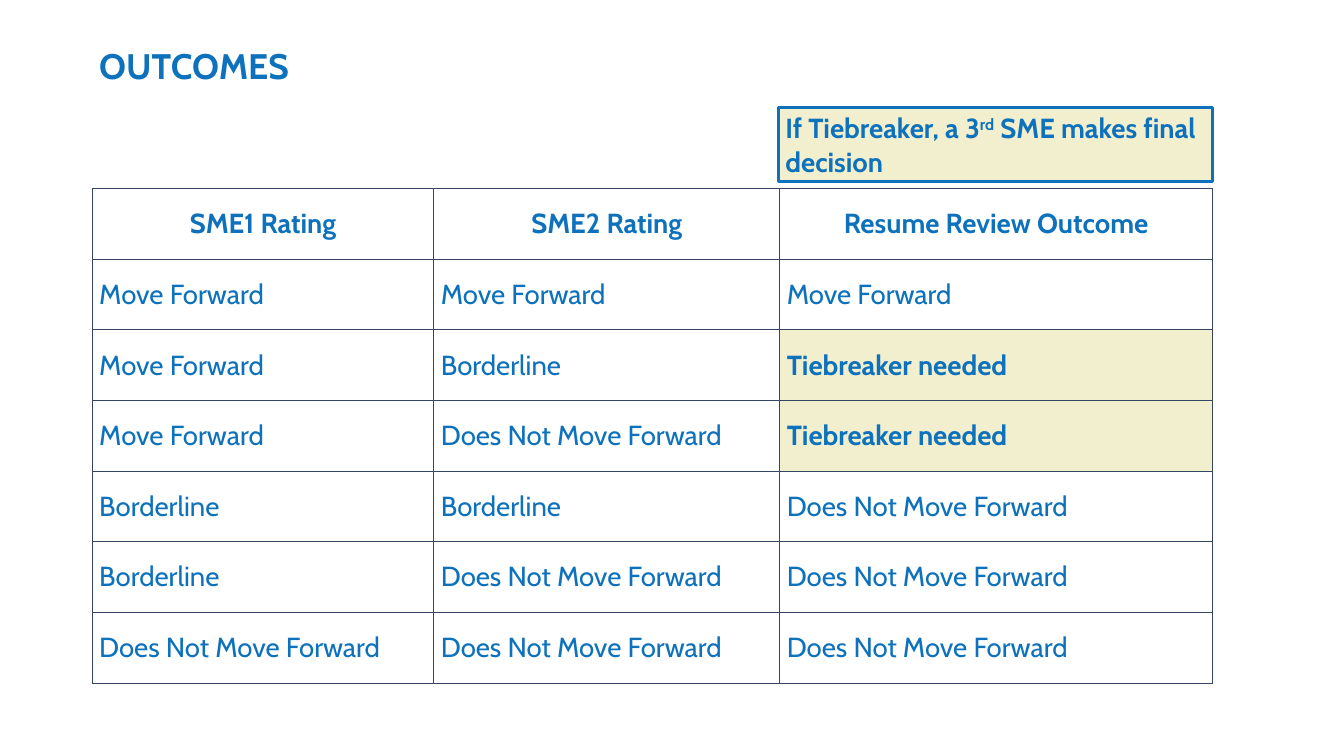
from lxml import etree
from pptx import Presentation
from pptx import util as u
from pptx.dml.color import RGBColor
from pptx.enum import shapes, text
from pptx.oxml import parse_xml
from pptx.oxml.ns import nsdecls

COLOURS = {"blue": "0D71BC", "cream": "F2EFCF", "border": "344664"}
FORWARD, BORDERLINE, STOP = "Move Forward", "Borderline", "Does Not Move Forward"
TIEBREAKER = "Tiebreaker needed"
HEADINGS = ("SME1 Rating", "SME2 Rating", "Resume Review Outcome")
RATINGS = [
    (FORWARD, FORWARD, FORWARD),
    (FORWARD, BORDERLINE, TIEBREAKER),
    (FORWARD, STOP, TIEBREAKER),
    (BORDERLINE, BORDERLINE, STOP),
    (BORDERLINE, STOP, STOP),
    (STOP, STOP, STOP),
]


class SlideBuilder:
    """Holds the text style and the current slide."""

    def __init__(self, slide, font_name="Cabin", size=28):
        self.slide = slide
        self.font_name = font_name
        self.size = size

    def colour(self, name):
        return RGBColor.from_string(COLOURS[name])

    def style(self, paragraph, size=None, bold=True, align=text.PP_ALIGN.LEFT):
        paragraph.alignment = align
        font = paragraph.font
        font.name = self.font_name
        font.size = u.Pt(size or self.size)
        font.bold = bold
        font.color.rgb = self.colour("blue")

    def title(self, wording, left, top, width, height):
        shape = self.slide.shapes.title
        shape.left, shape.top = u.Pt(left), u.Pt(top)
        shape.width, shape.height = u.Pt(width), u.Pt(height)
        frame = shape.text_frame
        frame.text = wording
        frame.vertical_anchor = text.MSO_ANCHOR.TOP
        self.style(frame.paragraphs[0], size=36)

    def border(self, cell):
        properties = cell._tc.get_or_add_tcPr()
        for index, side in enumerate(("lnL", "lnR", "lnT", "lnB")):
            properties.insert(index, parse_xml(
                f'<a:{side} {nsdecls("a")} w="{u.Pt(1)}"><a:solidFill>'
                f'<a:srgbClr val="{COLOURS["border"]}"/></a:solidFill></a:{side}>'))

    def cell(self, cell, wording, heading):
        tiebreaker = wording == TIEBREAKER
        cell.text = wording
        cell.vertical_anchor = text.MSO_ANCHOR.MIDDLE
        if tiebreaker:
            cell.fill.solid()
            cell.fill.fore_color.rgb = self.colour("cream")
        else:
            cell.fill.background()
        paragraph = cell.text_frame.paragraphs[0]
        paragraph.space_after = u.Pt(12)
        align = text.PP_ALIGN.CENTER if heading else text.PP_ALIGN.LEFT
        self.style(paragraph, bold=heading or tiebreaker, align=align)
        self.border(cell)

    def table(self, rows, left, top, widths, row_height):
        table = self.slide.shapes.add_table(
            len(rows), len(widths), u.Pt(left), u.Pt(top),
            u.Pt(sum(widths)), u.Pt(row_height * len(rows))).table
        table.first_row = table.horz_banding = False
        for column, width in zip(table.columns, widths):
            column.width = u.Pt(width)
        for row_index, row in enumerate(rows):
            for column_index, wording in enumerate(row):
                self.cell(table.cell(row_index, column_index), wording, row_index == 0)

    def callout(self, pieces, left, top, width, height):
        shape = self.slide.shapes.add_shape(
            shapes.MSO_SHAPE.RECTANGLE, u.Pt(left), u.Pt(top), u.Pt(width), u.Pt(height))
        shape.shadow.inherit = False
        shape.fill.solid()
        shape.fill.fore_color.rgb = self.colour("cream")
        shape.line.color.rgb = self.colour("blue")
        shape.line.width = u.Pt(3)
        frame = shape.text_frame
        frame.word_wrap = True
        frame.vertical_anchor = text.MSO_ANCHOR.MIDDLE
        paragraph = frame.paragraphs[0]
        self.style(paragraph)
        for wording, baseline in pieces:
            run = paragraph.add_run()
            run.text = wording
            if baseline:
                run.font._element.set("baseline", str(baseline * 1000))


def main():
    presentation = Presentation()
    presentation.slide_width, presentation.slide_height = u.Pt(1365), u.Pt(768)
    builder = SlideBuilder(presentation.slides.add_slide(presentation.slide_layouts[5]))
    builder.table([HEADINGS, *RATINGS], 93.6, 191.5, (347, 351.4, 439.2), 71.8)
    builder.title("OUTCOMES", 93.6, 41, 1178, 101.5)
    builder.callout(
        [("If Tiebreaker, a 3", 0), ("rd", 30), (" SME makes final decision", 0)],
        790.6, 109.4, 440.6, 74.9)
    presentation.save("out.pptx")


if __name__ == "__main__":
    main()
